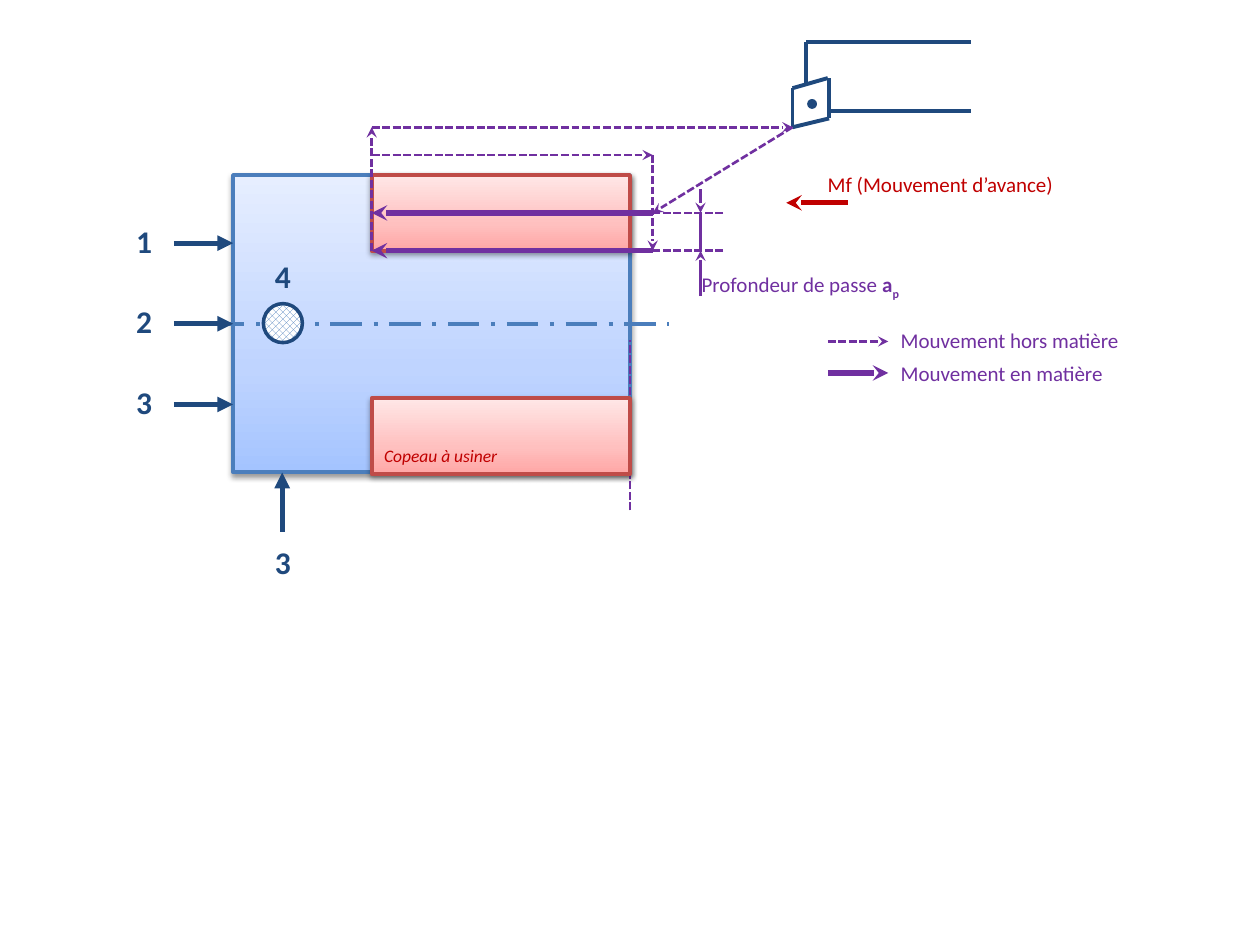
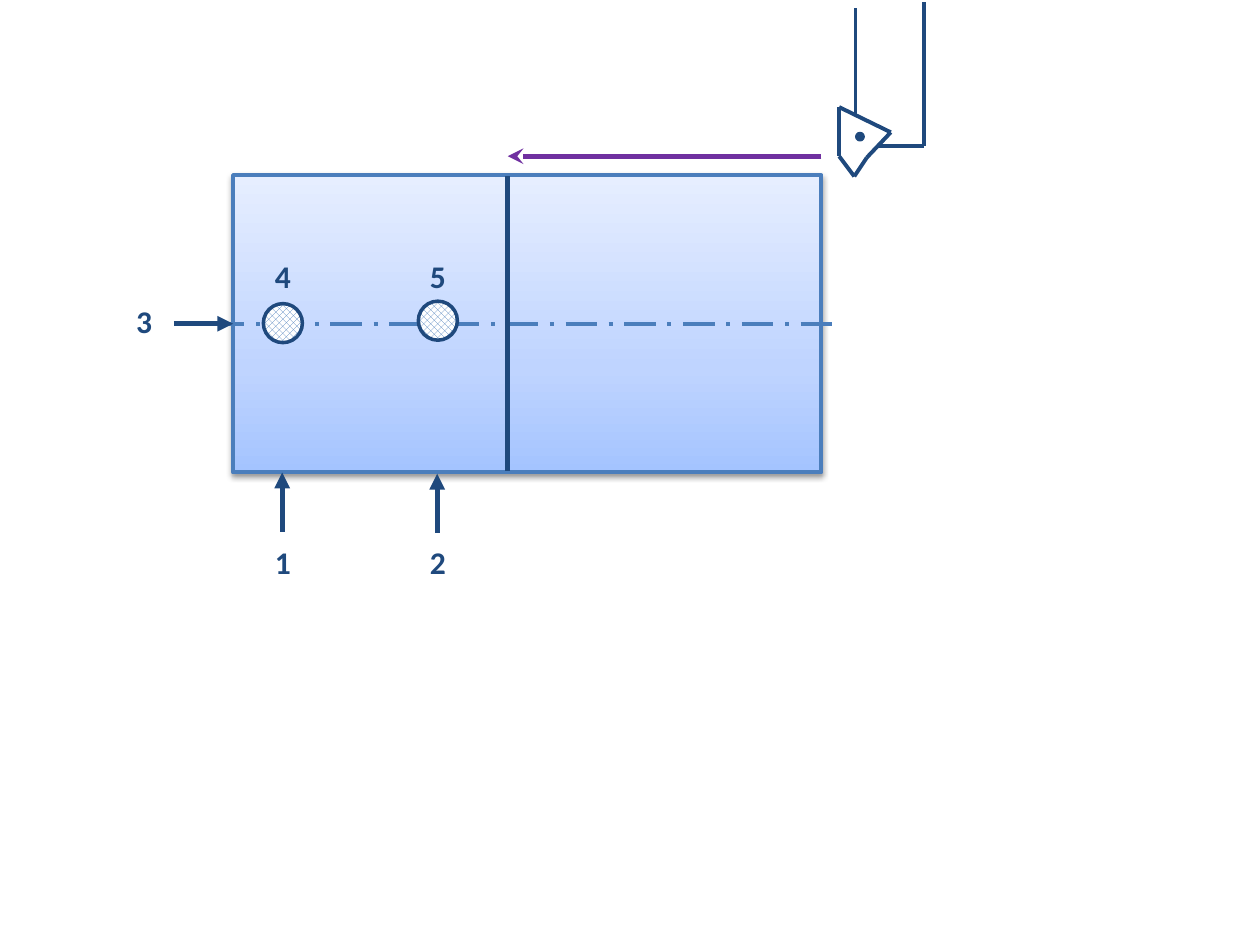
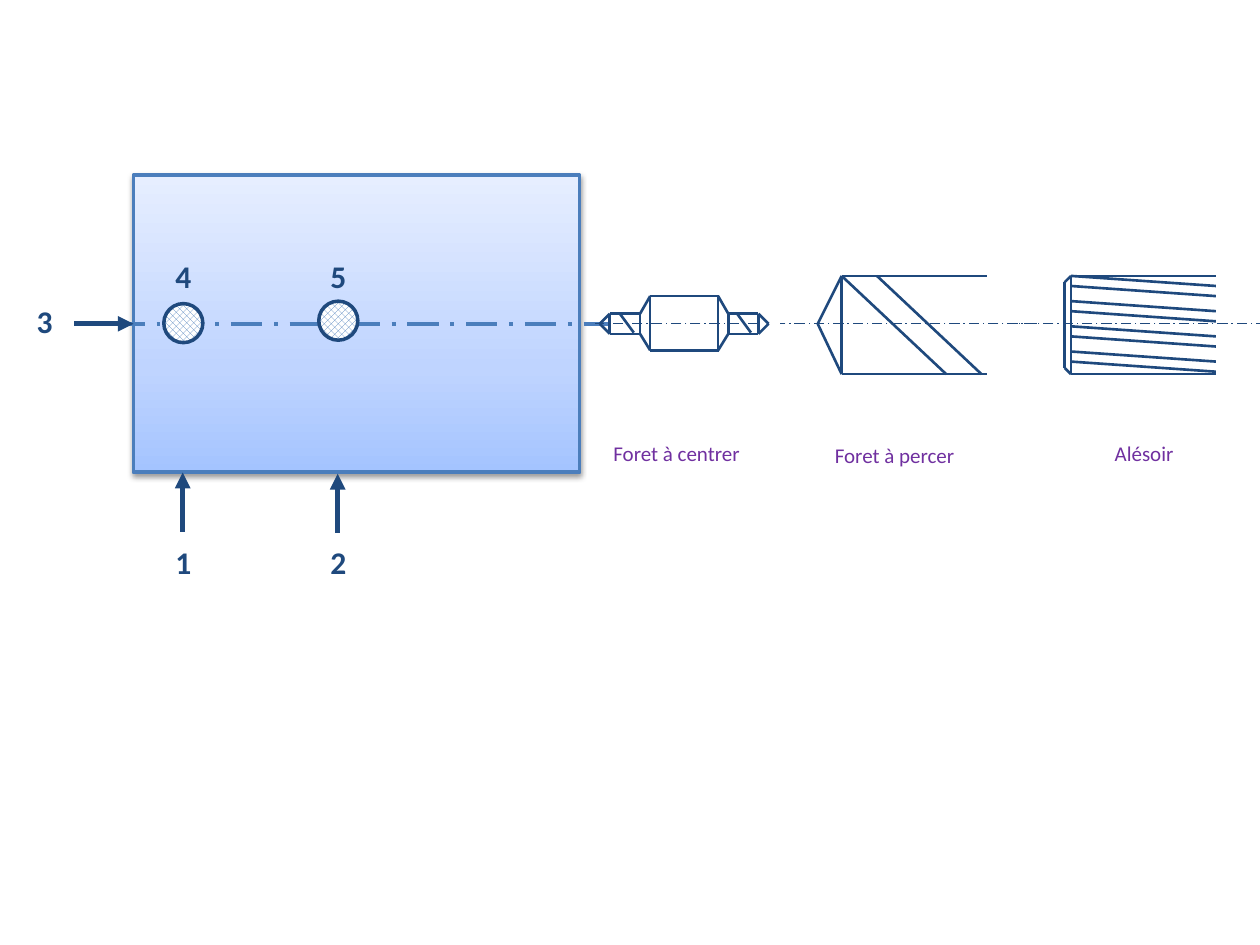
from dataclasses import dataclass, replace
from itertools import pairwise

from lxml import etree
from pptx import Presentation
from pptx import util as u
from pptx.dml.color import RGBColor
from pptx.enum import dml, shapes, text
from pptx.oxml.ns import qn

FONT = "Calibri"
NAVY, STEEL, BLUE, WHITE = "1F497D", "4B7EBC", "4F81BD", "FFFFFF"
PURPLE, RED, BRICK = "7030A0", "C00000", "BF4C48"
AXIS_Y = 2.57
PART_TOP, PART_HEIGHT = 1.39, 2.36
PART_BOTTOM = PART_TOP + PART_HEIGHT
PIN_SIZE = 0.31
PIN_OFFSETS = (0.39, 1.62)


@dataclass(frozen=True)
class Stroke:
    color: str
    width: float
    dash: dml.MSO_LINE | None = None
    arrow: str | None = None


@dataclass(frozen=True)
class Finish:
    """Bottom-to-top gradient stops and the outline colour of a block."""
    stops: tuple[tuple[int, str], ...]
    outline: str


@dataclass(frozen=True)
class Span:
    words: str
    bold: bool = False
    subscript: bool = False


METAL = Finish(((0, "A4C4FF"), (35, "BFD4FF"), (100, "E6EEFF")), STEEL)
CHIP = Finish(((0, "FFA6A5"), (35, "FFC0BF"), (100, "FFE7E7")), BRICK)

CENTRE_LINE = Stroke(STEEL, 2.25, dml.MSO_LINE.LONG_DASH_DOT)
TOOL_AXIS = Stroke(NAVY, 0.75, dml.MSO_LINE.LONG_DASH_DOT)
SUPPORT = Stroke(NAVY, 3, arrow="triangle")
HOLDER = Stroke(NAVY, 2.25)
CUTTER = Stroke(NAVY, 1.5)
CUTTING = Stroke(PURPLE, 3, arrow="stealth")
GUIDE = Stroke(PURPLE, 1.5, dml.MSO_LINE.SQUARE_DOT)
RAPID = replace(GUIDE, arrow="stealth")
MEASURE = Stroke(PURPLE, 1.5)
MEASURE_ARROW = replace(MEASURE, arrow="stealth")
FEED = Stroke(RED, 3, arrow="stealth")


def rgb(color: str) -> RGBColor:
    return RGBColor.from_string(color)


def write(page, content, left, top, width, height, *, size=12, color=PURPLE,
          bold=False, italic=False, centered=False):
    """Add a text box holding a string or a list of spans."""
    box = page.shapes.add_textbox(*map(u.Inches, (left, top, width, height)))
    frame = box.text_frame
    frame.word_wrap = True
    frame.auto_size = text.MSO_AUTO_SIZE.SHAPE_TO_FIT_TEXT
    para = frame.paragraphs[0]
    para.alignment = text.PP_ALIGN.CENTER if centered else text.PP_ALIGN.LEFT
    parts = [Span(content, bold)] if isinstance(content, str) else content
    for part in parts:
        span = para.add_run()
        span.text = part.words
        font = span.font
        font.name, font.size = FONT, u.Pt(size)
        font.bold, font.italic = part.bold, italic
        font.color.rgb = rgb(color)
        if part.subscript:
            span._r.get_or_add_rPr().set("baseline", "-25000")


def line(page, start, end, stroke: Stroke, target=None):
    """Draw a straight connector; target joins its end to (shape, side)."""
    connector = page.shapes.add_connector(
        shapes.MSO_CONNECTOR.STRAIGHT, *map(u.Inches, (*start, *end)))
    connector.line.color.rgb = rgb(stroke.color)
    connector.line.width = u.Pt(stroke.width)
    if stroke.dash is not None:
        connector.line.dash_style = stroke.dash
    properties = connector._element.spPr
    if stroke.arrow:
        etree.SubElement(properties.find(qn("a:ln")), qn("a:tailEnd"), type=stroke.arrow)
    etree.SubElement(properties, qn("a:effectLst"))
    if target:
        connector.end_connect(*target)


def polyline(page, points, stroke: Stroke):
    for start, end in pairwise(points):
        line(page, start, end, stroke)


def block(page, left, top, width, height, finish: Finish):
    """Add a gradient rectangle with a soft shadow below it."""
    shape = page.shapes.add_shape(shapes.MSO_SHAPE.RECTANGLE,
                                  *map(u.Inches, (left, top, width, height)))
    shape.fill.gradient()
    shape.fill.gradient_angle = 90
    properties = shape._element.spPr
    stops = properties.find(f"{qn('a:gradFill')}/{qn('a:gsLst')}")
    stops.clear()
    for percent, color in finish.stops:
        stop = etree.SubElement(stops, qn("a:gs"), pos=str(percent * 1000))
        etree.SubElement(stop, qn("a:srgbClr"), val=color)
    shape.line.color.rgb = rgb(finish.outline)
    shape.line.width = u.Pt(2.25)
    shape.shadow.inherit = False
    shadow = etree.SubElement(properties.find(qn("a:effectLst")), qn("a:outerShdw"),
                              blurRad="40000", dist="20000", dir="5400000", rotWithShape="0")
    black = etree.SubElement(shadow, qn("a:srgbClr"), val="000000")
    etree.SubElement(black, qn("a:alpha"), val="38000")
    return shape


def circle(page, left, top, size, *, hatched=False):
    shape = page.shapes.add_shape(shapes.MSO_SHAPE.OVAL,
                                  *map(u.Inches, (left, top, size, size)))
    if hatched:
        shape.fill.patterned()
        shape.fill.pattern = dml.MSO_PATTERN.OUTLINED_DIAMOND
        shape.fill.fore_color.rgb = rgb(BLUE)
        shape.fill.back_color.rgb = rgb(WHITE)
    else:
        shape.fill.solid()
        shape.fill.fore_color.rgb = rgb(NAVY)
    shape.line.color.rgb = rgb(NAVY)
    shape.line.width = u.Pt(2)
    shape.shadow.inherit = False


def number(page, digit: str, left, top):
    write(page, digit, left, top, 0.47, 0.4, size=18, color=NAVY, bold=True, centered=True)


def support_below(page, x, digit: str, tip=PART_BOTTOM):
    line(page, (x, tip + 0.47), (x, tip), SUPPORT)
    number(page, digit, x - 0.23, 4.26)


def support_left(page, x, y, digit: str, target=None):
    line(page, (x - 0.47, y), (x, y), SUPPORT, target)
    number(page, digit, x - 0.94, y - 0.22)


def pin(page, x, digit: str, top=2.41):
    """Add a hatched locating point with its number above."""
    circle(page, x - 0.15, top, PIN_SIZE, hatched=True)
    number(page, digit, x - 0.23, 1.99)


def workpiece(page, left, width, axis_end):
    """Add a part held on five numbered points, with its centre line."""
    part = block(page, left, PART_TOP, width, PART_HEIGHT, METAL)
    line(page, (left - 0.16, AXIS_Y), (axis_end, AXIS_Y), CENTRE_LINE)
    first, second = (left + offset for offset in PIN_OFFSETS)
    support_below(page, first, "1")
    support_below(page, second, "2", PART_BOTTOM + 0.01)
    support_left(page, left, AXIS_Y, "3", (part, 1))
    pin(page, first, "4")
    pin(page, second, "5", 2.39)


def roughing(page):
    left, chip_left, right = 1.85, 2.95, 5.0
    tip, entry = (6.29, 1.01), 5.18
    first_pass, second_pass, gauge = 1.69, 1.99, 5.56

    part = block(page, left, PART_TOP, right - left, PART_HEIGHT, METAL)
    upper_chip = block(page, chip_left, PART_TOP, right - chip_left, 0.6, CHIP)
    line(page, (1.69, AXIS_Y), (5.31, AXIS_Y), CENTRE_LINE)
    support_below(page, left + PIN_OFFSETS[0], "3")
    pin(page, left + PIN_OFFSETS[0], "4")

    polyline(page, [tip, (6.29, 0.7), (6.57, 0.62)], HOLDER)
    polyline(page, [(6.58, 0.62), (6.58, 0.94), tip], HOLDER)
    circle(page, 6.42, 0.8, 0.05)
    line(page, (6.58, 0.88), (7.71, 0.88), HOLDER)
    polyline(page, [(6.4, 0.66), (6.4, 0.33), (7.71, 0.33)], HOLDER)

    line(page, (6.73, 1.61), (6.24, 1.61), FEED)
    write(page, "Mf (Mouvement d’avance)", 6.47, 1.31, 2.32, 0.3, color=RED)

    line(page, tip, (entry, first_pass), RAPID)
    line(page, (entry, first_pass), (chip_left, first_pass), CUTTING, (upper_chip, 1))
    line(page, (chip_left, 1.23), (entry, 1.23), RAPID)
    line(page, (chip_left, second_pass), (chip_left, tip[1]), RAPID)
    line(page, (chip_left, tip[1]), tip, RAPID)
    line(page, (entry, 1.23), (entry, second_pass), RAPID)

    legend = [("Mouvement hors matière", 2.71, RAPID, 2.55),
              ("Mouvement en matière", 2.96, CUTTING, 2.81)]
    for label, y, stroke, top in legend:
        line(page, (6.57, y), (7.05, y), stroke)
        write(page, label, 7.05, top, 2.32, 0.3)

    line(page, (right, 4.05), (right, 2.7), GUIDE)
    line(page, (gauge, 2.35), (gauge, second_pass), MEASURE_ARROW)
    line(page, (gauge, 1.5), (gauge, first_pass), MEASURE_ARROW)
    line(page, (gauge, second_pass), (gauge, first_pass), MEASURE)
    write(page, [Span("Profondeur de passe "), Span("a", bold=True),
                 Span("p", bold=True, subscript=True)], 5.47, 2.11, 2.32, 0.3)

    for index, digit in enumerate("123"):
        target = (part, 1) if digit == "2" else None
        support_left(page, left, 1.93 + 0.64 * index, digit, target)

    block(page, chip_left, 3.16, right - chip_left, 0.6, CHIP)
    write(page, "Copeau à usiner", chip_left, 3.48, 1.62, 0.27,
          size=10, color=RED, italic=True)
    line(page, (entry, second_pass), (chip_left, second_pass), CUTTING)
    for y in (first_pass, second_pass):
        line(page, (5.74, y), (entry, y), GUIDE)


def turning(page):
    workpiece(page, 1.85, 4.67, 6.66)
    line(page, (4.03, 1.4), (4.03, 3.74), Stroke(NAVY, 3))
    polyline(page, [(6.66, 0.85), (6.66, 1.24), (6.78, 1.4), (6.88, 1.25),
                    (7.07, 1.05), (6.66, 0.85)], HOLDER)
    circle(page, 6.8, 1.06, 0.05)
    line(page, (6.79, 0.92), (6.79, 0.06), HOLDER)
    polyline(page, [(6.97, 1.16), (7.33, 1.16), (7.33, 0.02)], HOLDER)
    line(page, (6.52, 1.24), (4.03, 1.24), CUTTING)


def centre_drill(page):
    """Draw a double-ended drill, mirrored about its middle."""
    tip, collar, neck, body = 4.76, 4.84, 5.08, 5.16
    bit_top, bit_bottom, body_top, body_bottom = 2.49, 2.65, 2.35, 2.78
    profile = [(body, body_top), (neck, bit_top), (collar, bit_top), (tip, AXIS_Y),
               (collar, bit_bottom), (neck, bit_bottom), (body, body_bottom)]
    edges = [(collar, bit_top, bit_bottom), (neck, bit_top, bit_bottom),
             (body, body_top, body_bottom)]
    for flip in (lambda x: x, lambda x: 10.86 - x):
        polyline(page, [(flip(x), y) for x, y in profile], CUTTER)
        for x, top, bottom in edges:
            line(page, (flip(x), top), (flip(x), bottom), CUTTER)
    for y in (body_top, body_bottom):
        line(page, (5.71, y), (body, y), CUTTER)
    for x in (4.92, 5.85):
        line(page, (x, bit_top), (x + 0.11, 2.64), CUTTER)
    line(page, (6.02, AXIS_Y), (4.72, AXIS_Y), TOOL_AXIS)


def twist_drill(page):
    left, top, bottom = 6.68, 2.19, 2.97
    polyline(page, [(7.83, top), (left, top), (6.49, AXIS_Y),
                    (left, bottom), (7.83, bottom)], CUTTER)
    line(page, (left, top), (left, bottom), CUTTER)
    for x in (left, 6.96):
        line(page, (x, top), (x + 0.83, bottom), CUTTER)
    line(page, (8.23, AXIS_Y), (6.19, AXIS_Y), TOOL_AXIS)


def reamer(page):
    left, right, top, bottom = 8.5, 9.65, 2.19, 2.97
    polyline(page, [(right, top), (left, top), (8.45, 2.24), (8.45, 2.92),
                    (left, bottom), (right, bottom)], CUTTER)
    line(page, (left, top), (left, bottom), CUTTER)
    for tooth in range(4):
        for edge in (0, 0.08):
            y = top + 0.2 * tooth + edge
            line(page, (left, y), (right, y + 0.08), CUTTER)
    line(page, (10.05, AXIS_Y), (8.01, AXIS_Y), TOOL_AXIS)


def drilling(page):
    workpiece(page, 1.06, 3.54, 4.84)
    centre_drill(page)
    twist_drill(page)
    reamer(page)
    for label, left, top in [("Foret à centrer", 4.21, 3.45),
                             ("Foret à percer", 5.94, 3.46), ("Alésoir", 7.92, 3.45)]:
        write(page, label, left, top, 2.32, 0.3, centered=True)


def main():
    deck = Presentation()
    deck.slide_width, deck.slide_height = u.Inches(10), u.Inches(7.5)
    for draw in (roughing, turning, drilling):
        draw(deck.slides.add_slide(deck.slide_layouts[6]))
    deck.save("out.pptx")


if __name__ == "__main__":
    main()
